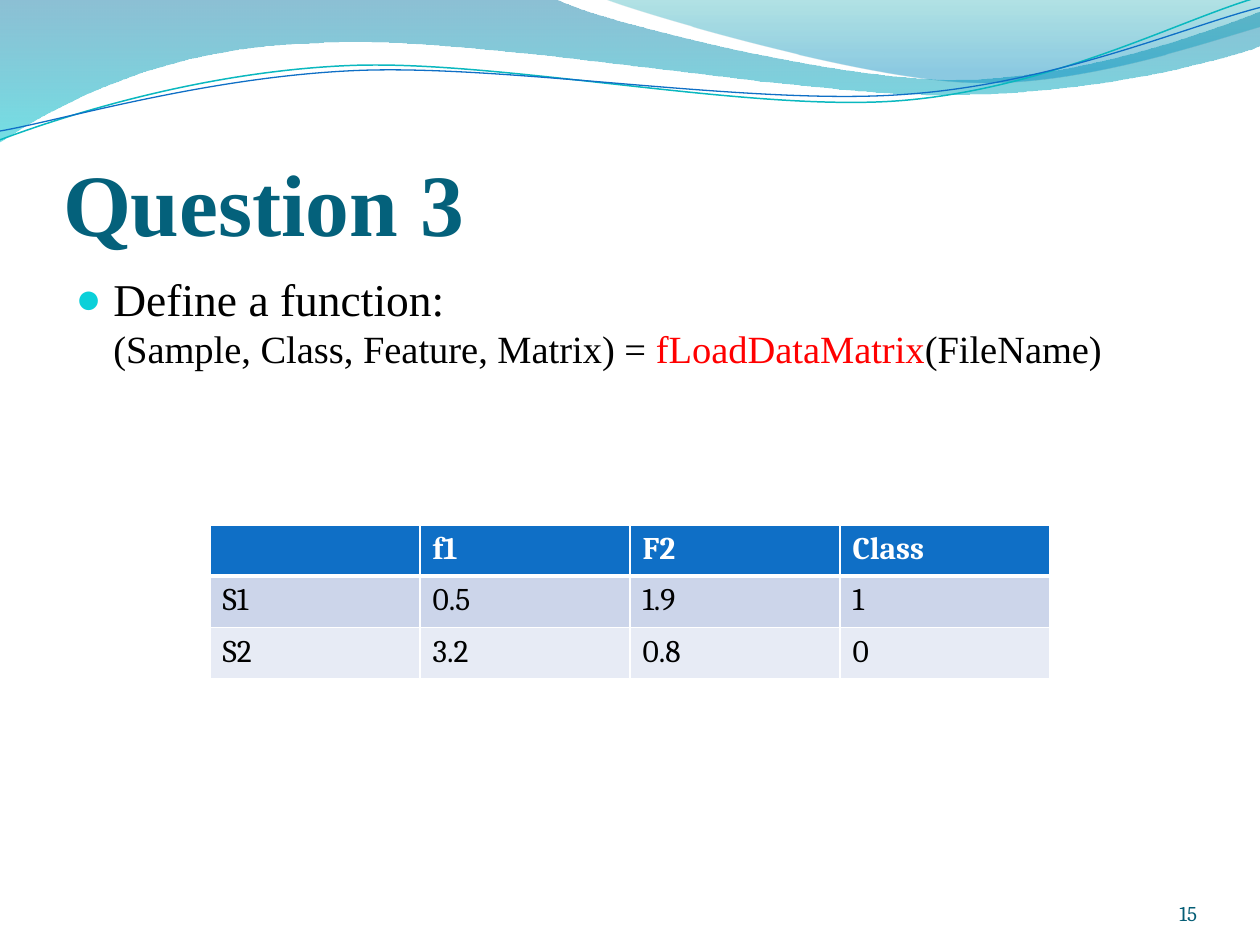
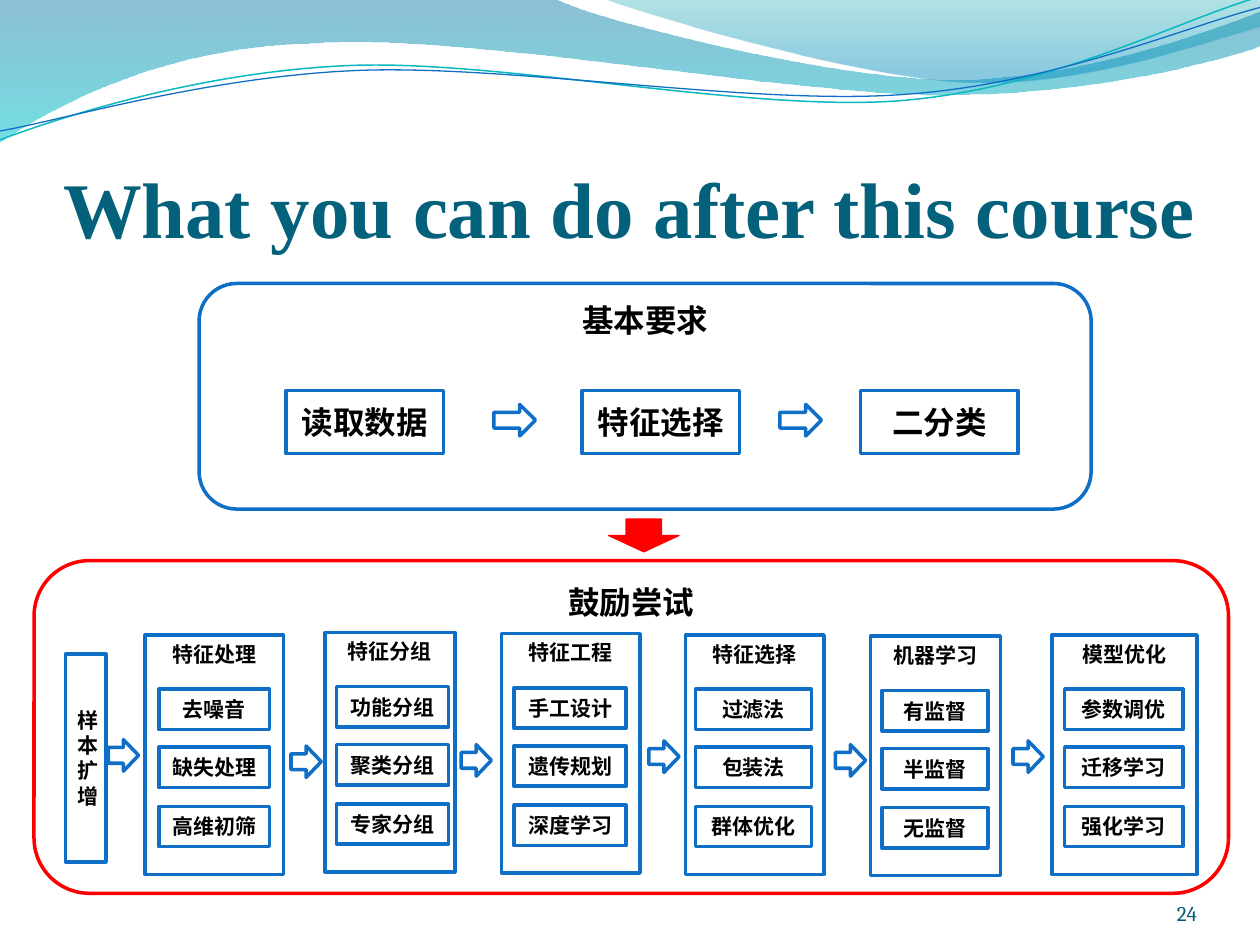
import math

from lxml import etree
from pptx import Presentation
from pptx.dml.color import RGBColor
from pptx.enum import shapes, text
from pptx.oxml.ns import qn
from pptx.util import Inches, Pt

WHITE = RGBColor(0xFF, 0xFF, 0xFF)
BLACK = RGBColor(0, 0, 0)
RED = RGBColor(0xFF, 0, 0)
BLUE = RGBColor(0x0F, 0x6F, 0xC6)
TEAL_LINE = RGBColor(0x0A, 0xB8, 0xBF)
TITLE_COLOR = RGBColor(0x04, 0x61, 0x7B)
NUMBER_COLOR = RGBColor(0x04, 0x5D, 0x75)
ROW_COLORS = [BLUE, RGBColor(0xCC, 0xD5, 0xEA), RGBColor(0xE7, 0xEB, 0xF5)]
TITLE_FONT = "Times New Roman"
BODY_FONT = "Cambria"
SHAPE = shapes.MSO_SHAPE
TOP, MIDDLE, BOTTOM = text.MSO_ANCHOR.TOP, text.MSO_ANCHOR.MIDDLE, text.MSO_ANCHOR.BOTTOM


def add_wave(slide, segments, close, tilt=0, center=(0, 0)):
    """Draw line ends (x, y) and cubic curves (two controls, end), tilted about center."""
    sine, cosine = math.sin(math.radians(tilt)), math.cos(math.radians(tilt))
    points = []
    for segment in segments:
        for x, y in zip(segment[::2], segment[1::2]):
            x, y = x - center[0], y - center[1]
            points.append((Inches(center[0] + x * cosine + y * sine),
                           Inches(center[1] - x * sine + y * cosine)))
    builder = slide.shapes.build_freeform(*points[0])
    builder.add_line_segments(points[1:], close=close)
    wave = builder.convert_to_shape()
    wave.rotation = tilt
    wave.shadow.inherit = False
    outline = next(wave.element.iter(qn("a:path")))
    line_steps = iter(outline.findall(qn("a:lnTo")))
    for segment in segments[1:]:
        steps = [next(line_steps) for _ in segment[::2]]
        if len(steps) == 3:
            curve = etree.Element(qn("a:cubicBezTo"))
            steps[0].addprevious(curve)
            for step in steps:
                curve.append(step[0])
                outline.remove(step)
    return wave


def add_box(slide, kind, left, top, width, height, label="", size=12,
            anchor=MIDDLE, fill=WHITE, line=BLUE, weight=2):
    shape = slide.shapes.add_shape(
        kind, Inches(left), Inches(top), Inches(width), Inches(height))
    shape.shadow.inherit = False
    shape.fill.solid()
    shape.fill.fore_color.rgb = fill
    shape.line.color.rgb = line
    shape.line.width = Pt(weight)
    if label:
        frame = shape.text_frame
        frame.word_wrap = True
        frame.vertical_anchor = anchor
        paragraph = frame.paragraphs[0]
        paragraph.text = label
        paragraph.alignment = text.PP_ALIGN.CENTER
        paragraph.font.name = BODY_FONT
        paragraph.font.size = Pt(size)
        paragraph.font.bold = True
        paragraph.font.color.rgb = BLACK
    return shape


presentation = Presentation()
presentation.slide_width = Inches(10)
presentation.slide_height = Inches(7.5)

# Titles and page numbers
slides = []
for layout, title, size, number in [
    (1, "Question 3", 50, "15"),
    (5, "What you can do after this course", 45, "24"),
]:
    slide = presentation.slides.add_slide(presentation.slide_layouts[layout])
    slides.append(slide)
    heading = slide.shapes.title
    heading.left, heading.top = Inches(0.5), Inches(0.77)
    heading.width, heading.height = Inches(9), Inches(1.25)
    page_number = slide.shapes.add_textbox(
        Inches(8.67), Inches(6.95), Inches(0.83), Inches(0.4))
    for shape, words, font_name, points, color, alignment, inset in [
        (heading, title, TITLE_FONT, size, TITLE_COLOR, text.PP_ALIGN.LEFT, 0.05),
        (page_number, number, BODY_FONT, 12, NUMBER_COLOR, text.PP_ALIGN.RIGHT, 0),
    ]:
        frame = shape.text_frame
        frame.word_wrap = True
        frame.vertical_anchor = BOTTOM
        frame.margin_left = frame.margin_right = frame.margin_bottom = 0
        frame.margin_top = Inches(inset)
        paragraph = frame.paragraphs[0]
        paragraph.text = words
        paragraph.alignment = alignment
        paragraph.font.name = font_name
        paragraph.font.size = Pt(points)
        paragraph.font.bold = shape is heading
        paragraph.font.color.rgb = color
question_slide, course_slide = slides

# Wave band, moved to the master so that both slides share it
wave_fills = [
    ([(0, 0), (4.4, -0.01), (4.76, 0.17, 6.64, 0.63, 7.58, 0.63),
      (8.53, 0.63, 9.58, 0.26, 10, 0.09), (10.01, 0.36),
      (9.83, 0.44, 8.7, 0.76, 7.46, 0.75), (6.22, 0.75, 3.82, 0.28, 2.57, 0.34),
      (1.29, 0.36, 0.46, 0.83, -0.01, 1.13), (0, 0)],
     [(0, "0074A1", 45), (1, "00C6CF", 55)]),
    ([(4.79, -0.01), (5.09, 0.11, 6.82, 0.62, 7.69, 0.65),
      (8.56, 0.69, 9.61, 0.32, 10, 0.21), (10, 0), (4.79, -0.01)],
     [(0, "00A1A9", 30), (0.8, "008BBF", 45)]),
]
wave_lines = [
    ([(0, 1.11), (0.48, 0.93, 1.58, 0.57, 2.77, 0.52),
      (3.95, 0.47, 5.93, 0.89, 7.13, 0.8), (8.33, 0.71, 9.38, 0.15, 9.98, -0.02)],
     (4.99, 0.57), TEAL_LINE, 0.85),
    ([(0, 1.04), (0.47, 0.96, 1.64, 0.61, 2.83, 0.56),
      (4.03, 0.51, 5.97, 0.84, 7.17, 0.75), (8.36, 0.67, 9.41, 0.21, 10, 0.06)],
     (5, 0.59), BLUE, 0.75),
]
waves = []
for segments, stops in wave_fills:
    wave = add_wave(question_slide, segments, close=True)
    wave.line.fill.background()
    wave.fill.gradient()
    wave.fill.gradient_angle = 270
    for stop, (position, color, _) in zip(wave.fill.gradient_stops, stops):
        stop.position = position
        stop.color.rgb = RGBColor.from_string(color)
    gradient = wave.element.spPr.find(qn("a:gradFill"))
    for color, (_, _, opacity) in zip(gradient.iter(qn("a:srgbClr")), stops):
        etree.SubElement(color, qn("a:alpha"), val=str(opacity * 1000))
    waves.append(wave)
for segments, center, color, weight in wave_lines:
    wave = add_wave(question_slide, segments, False, 357.3, center)
    wave.fill.background()
    wave.line.color.rgb = color
    wave.line.width = Pt(weight)
    waves.append(wave)
master_tree = presentation.slide_master.shapes.element
for index, wave in enumerate(waves):
    wave.element.nvSpPr.cNvPr.set("id", str(100 + index))
    master_tree.insert(2 + index, wave.element)

# Question 3: function signature
body = question_slide.placeholders[1]
body.left, body.top = Inches(0.5), Inches(2.1)
body.width, body.height = Inches(9), Inches(4.85)
paragraph = body.text_frame.paragraphs[0]
properties = paragraph._p.get_or_add_pPr()
properties.set("marL", str(Inches(0.3)))
properties.set("indent", str(-Inches(0.3)))
bullet_color = etree.SubElement(properties, qn("a:buClr"))
etree.SubElement(bullet_color, qn("a:srgbClr"), val="0BD0D9")
etree.SubElement(properties, qn("a:buSzPct"), val="95000")
etree.SubElement(properties, qn("a:buChar"), char="●")
paragraph.font.name = TITLE_FONT
for words, size, color in [
    ("Define a function: ", 26, BLACK),
    ("(Sample, Class, Feature, Matrix) = ", 22, BLACK),
    ("fLoadDataMatrix", 22, RED),
    ("(FileName)", 22, BLACK),
]:
    run = paragraph.add_run()
    run.text = words
    run.font.name = TITLE_FONT
    run.font.size = Pt(size)
    run.font.color.rgb = color
    if size == 26:
        paragraph.add_line_break()

# Question 3: sample matrix
matrix = [
    ["", "f1", "F2", "Class"],
    ["S1", "0.5", "1.9", "1"],
    ["S2", "3.2", "0.8", "0"],
]
table = question_slide.shapes.add_table(
    3, 4, Inches(5 / 3), Inches(25 / 6), Inches(20 / 3), Inches(1.22)).table
for row_index, row in enumerate(matrix):
    for column_index, value in enumerate(row):
        cell = table.cell(row_index, column_index)
        cell_properties = cell._tc.get_or_add_tcPr()
        for side in "LRTB":
            under_header = (row_index, side) in [(0, "B"), (1, "T")]
            border = etree.SubElement(cell_properties, qn(f"a:ln{side}"),
                                      w=str(Pt(3 if under_header else 1)))
            solid = etree.SubElement(border, qn("a:solidFill"))
            etree.SubElement(solid, qn("a:srgbClr"), val=str(WHITE))
        cell.fill.solid()
        cell.fill.fore_color.rgb = ROW_COLORS[row_index]
        paragraph = cell.text_frame.paragraphs[0]
        paragraph.text = value
        paragraph.font.name = BODY_FONT
        paragraph.font.size = Pt(18)
        paragraph.font.bold = row_index == 0
        paragraph.font.color.rgb = BLACK if row_index else WHITE

# Course: basic requirements
add_box(course_slide, SHAPE.ROUNDED_RECTANGLE, 1.58, 2.25, 7.08, 1.79,
        "基本要求", 18, TOP)
for left, label in [(2.27, "读取数据"), (4.62, "特征选择"), (6.83, "二分类")]:
    add_box(course_slide, SHAPE.RECTANGLE, left, 3.1, 1.25, 0.5, label, 18)
for left in (3.92, 6.19):
    add_box(course_slide, SHAPE.RIGHT_ARROW, left, 3.21, 0.33, 0.25)

# Course: encouraged attempts
attempts = add_box(course_slide, SHAPE.ROUNDED_RECTANGLE, 0.27, 4.45, 9.48, 2.64,
                   "鼓励尝试", 18, TOP, line=RED)
attempts.fill.background()
add_box(course_slide, SHAPE.RECTANGLE, 0.52, 5.19, 0.32, 1.65, "样本扩增")
stages = [
    (1.15, 5.04, 1.1, 1.26, 0.88, "特征处理", ["去噪音", "缺失处理", "高维初筛"]),
    (2.58, 5.02, 1.03, 2.67, 0.89, "特征分组", ["功能分组", "聚类分组", "专家分组"]),
    (3.98, 5.03, 1.1, 4.08, 0.89, "特征工程", ["手工设计", "遗传规划", "深度学习"]),
    (5.44, 5.04, 1.1, 5.52, 0.92, "特征选择", ["过滤法", "包装法", "群体优化"]),
    (6.91, 5.05, 1.03, 7, 0.84, "机器学习", ["有监督", "半监督", "无监督"]),
    (8.35, 5.04, 1.15, 8.45, 0.94, "模型优化", ["参数调优", "迁移学习", "强化学习"]),
]
for left, top, width, method_left, method_width, stage, methods in stages:
    add_box(course_slide, SHAPE.RECTANGLE, left, top, width, 1.9, stage, anchor=TOP)
    for offset, method in zip((0.43, 0.89, 1.36), methods):
        add_box(course_slide, SHAPE.RECTANGLE, method_left, top + offset,
                method_width, 0.32, method)
for left, top in [(0.86, 5.87), (2.31, 5.92), (3.66, 5.91),
                  (5.15, 5.88), (6.63, 5.91), (8.04, 5.88)]:
    add_box(course_slide, SHAPE.RIGHT_ARROW, left, top, 0.24, 0.25)
add_box(course_slide, SHAPE.DOWN_ARROW, 4.83, 4.12, 0.56, 0.26,
        fill=RED, line=RED, weight=0.75)

presentation.save("out.pptx")
